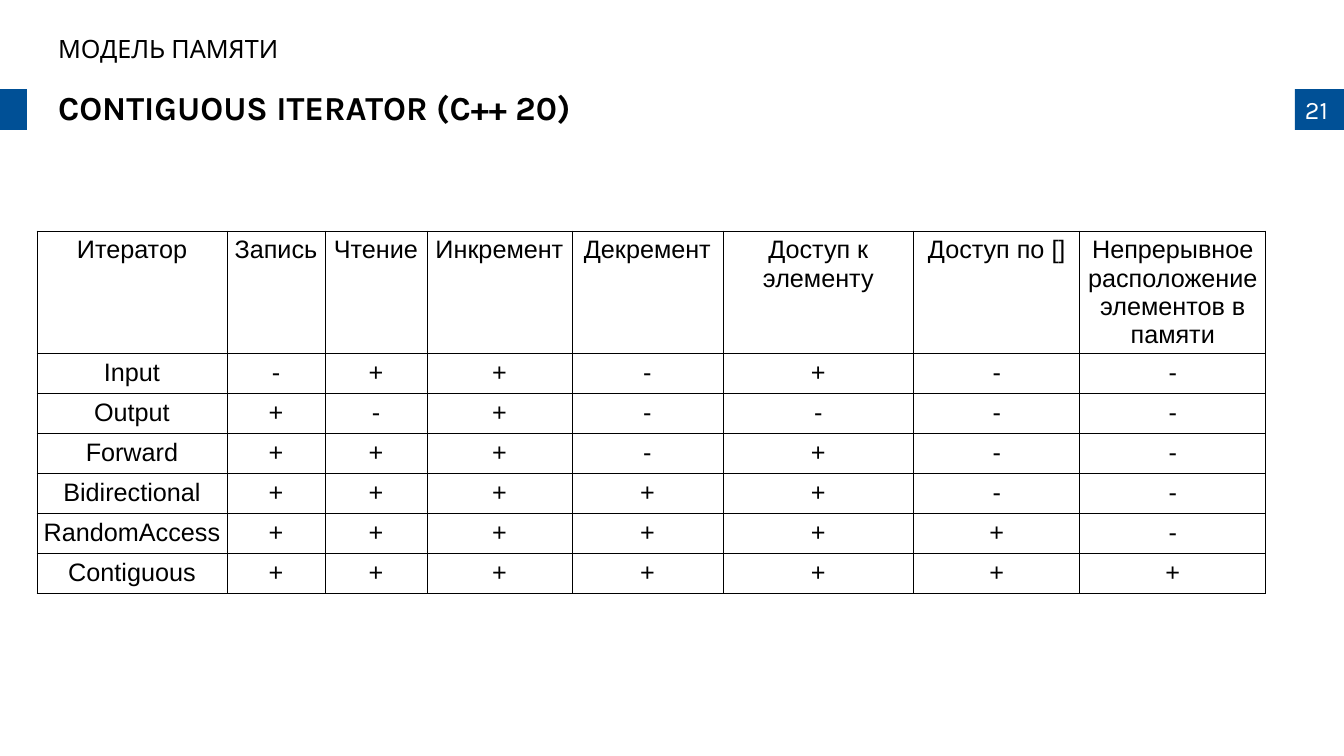
"""Builds the slide that compares C++ iterator categories."""
from dataclasses import dataclass

from lxml.etree import SubElement
from pptx import Presentation
from pptx.dml.color import RGBColor
from pptx.enum.shapes import MSO_SHAPE as Preset
from pptx.enum.text import MSO_ANCHOR as Anchor, MSO_AUTO_SIZE as AutoSize, PP_ALIGN as Align
from pptx.oxml.ns import qn
from pptx.util import Pt

EMU_PER_PX = 914400 / 100.8


@dataclass(frozen=True)
class Theme:
    accent: str = "005096"
    ink: str = "000000"
    paper: str = "FFFFFF"
    heading_font: str = "Karla"
    table_font: str = "Arial"
    title_size: int = 24
    body_size: int = 18
    border: float = 0.57


def px(length):
    return round(length * EMU_PER_PX)


def write(frame, text, *, font, size, color, bold=False, align=Align.LEFT, spacing=None):
    paragraph = frame.paragraphs[0]
    paragraph.text = text
    paragraph.alignment = align
    paragraph.line_spacing = spacing
    paragraph.space_before = Pt(0)
    style = paragraph.font
    style.name, style.size, style.bold = font, Pt(size), bold
    style.color.rgb = RGBColor.from_string(color)


class SlideBuilder:
    def __init__(self, slide, theme):
        self.slide = slide
        self.theme = theme

    def frame(self, shape):
        frame = shape.text_frame
        frame.word_wrap = True
        frame.auto_size = AutoSize.NONE
        frame.vertical_anchor = Anchor.MIDDLE
        frame.margin_left = frame.margin_right = px(10)
        frame.margin_top = frame.margin_bottom = px(5)
        return frame

    def title(self, text, left, top, width, height):
        title = self.slide.shapes.title
        title.left, title.top, title.width, title.height = map(px, (left, top, width, height))
        write(self.frame(title), text, font=self.theme.heading_font, size=self.theme.title_size,
              color=self.theme.ink, bold=True, spacing=0.9)

    def label(self, text, left, top, width, height):
        label = self.slide.shapes.add_textbox(*map(px, (left, top, width, height)))
        write(self.frame(label), text, font=self.theme.heading_font, size=self.theme.body_size,
              color=self.theme.ink, spacing=0.9)

    def block(self, left, top, width, height, text=""):
        block = self.slide.shapes.add_shape(Preset.RECTANGLE, *map(px, (left, top, width, height)))
        block.shadow.inherit = False
        block.fill.solid()
        block.fill.fore_color.rgb = RGBColor.from_string(self.theme.accent)
        block.line.fill.background()
        if text:
            write(self.frame(block), text, font=self.theme.heading_font,
                  size=self.theme.body_size, color=self.theme.paper)

    def outline(self, cell):
        properties = cell._tc.get_or_add_tcPr()
        for side in ("lnL", "lnR", "lnT", "lnB"):
            line = SubElement(properties, qn(f"a:{side}"), w=str(Pt(self.theme.border)))
            SubElement(SubElement(line, qn("a:solidFill")), qn("a:srgbClr"), val=self.theme.ink)

    def table(self, rows, left, top, widths, heights):
        table = self.slide.shapes.add_table(
            len(rows), len(widths), px(left), px(top), px(sum(widths)), px(sum(heights))).table
        table.first_row = table.horz_banding = False
        for column, width in zip(table.columns, widths):
            column.width = px(width)
        for row, height, values in zip(table.rows, heights, rows):
            row.height = px(height)
            for cell, value in zip(row.cells, values):
                self.outline(cell)
                cell.fill.background()
                cell.margin_left = cell.margin_right = px(4)
                cell.margin_top = cell.margin_bottom = px(5)
                write(cell.text_frame, value, font=self.theme.table_font,
                      size=self.theme.body_size, color=self.theme.ink, align=Align.CENTER)


def main():
    deck = Presentation()
    deck.slide_width, deck.slide_height = px(1344), px(756)
    builder = SlideBuilder(deck.slides.add_slide(deck.slide_layouts[5]), Theme())

    capabilities = ["Итератор", "Запись", "Чтение", "Инкремент", "Декремент",
                    "Доступ к элементу", "Доступ по []",
                    "Непрерывное расположение элементов в памяти"]
    support = {
        "Input": "-++-+--",
        "Output": "+-+----",
        "Forward": "+++-+--",
        "Bidirectional": "+++++--",
        "RandomAccess": "++++++-",
        "Contiguous": "+++++++",
    }
    rows = [capabilities] + [[iterator, *marks] for iterator, marks in support.items()]

    builder.block(0, 89, 27, 41)
    builder.block(1295, 89, 49, 41, text="21")
    builder.title("CONTIGUOUS ITERATOR (C++ 20)", 48, 89, 1099, 41)
    builder.label("МОДЕЛЬ ПАМЯТИ", 48, 33, 1099, 34)
    builder.table(rows, 37, 231, widths=[190, 98, 102, 145, 151, 191, 166, 186],
                  heights=[47] + [40] * len(support))
    deck.save("out.pptx")


if __name__ == "__main__":
    main()
